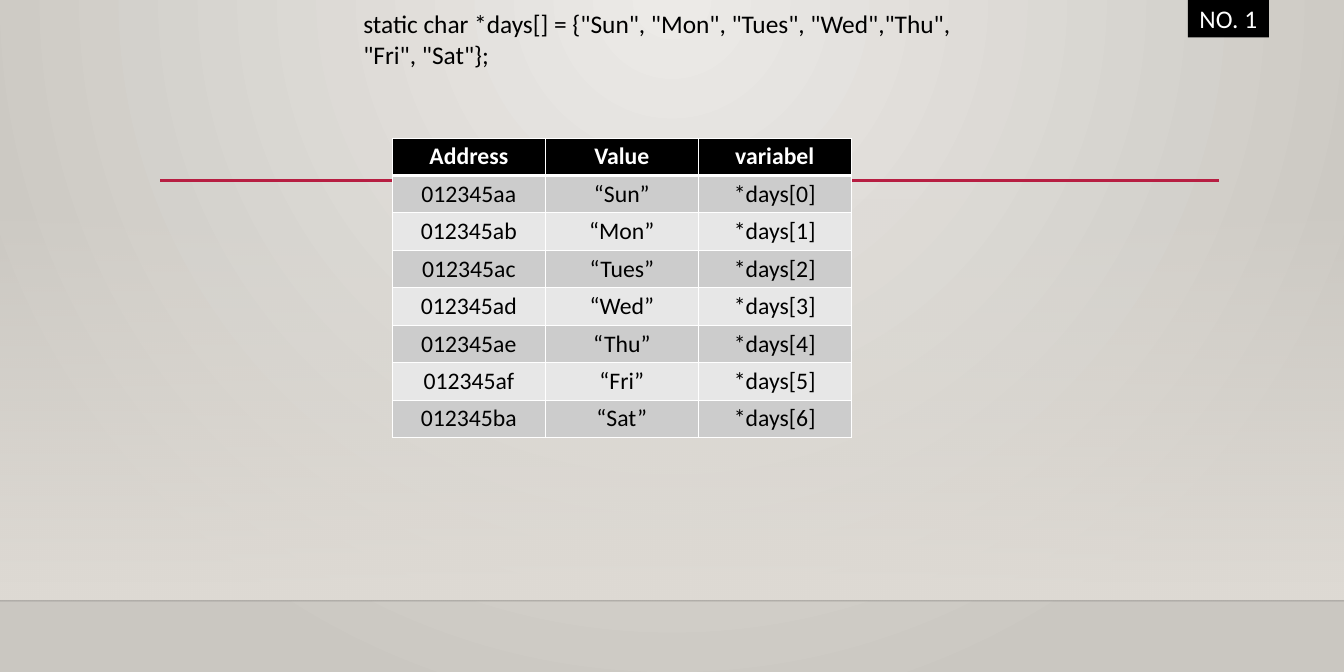
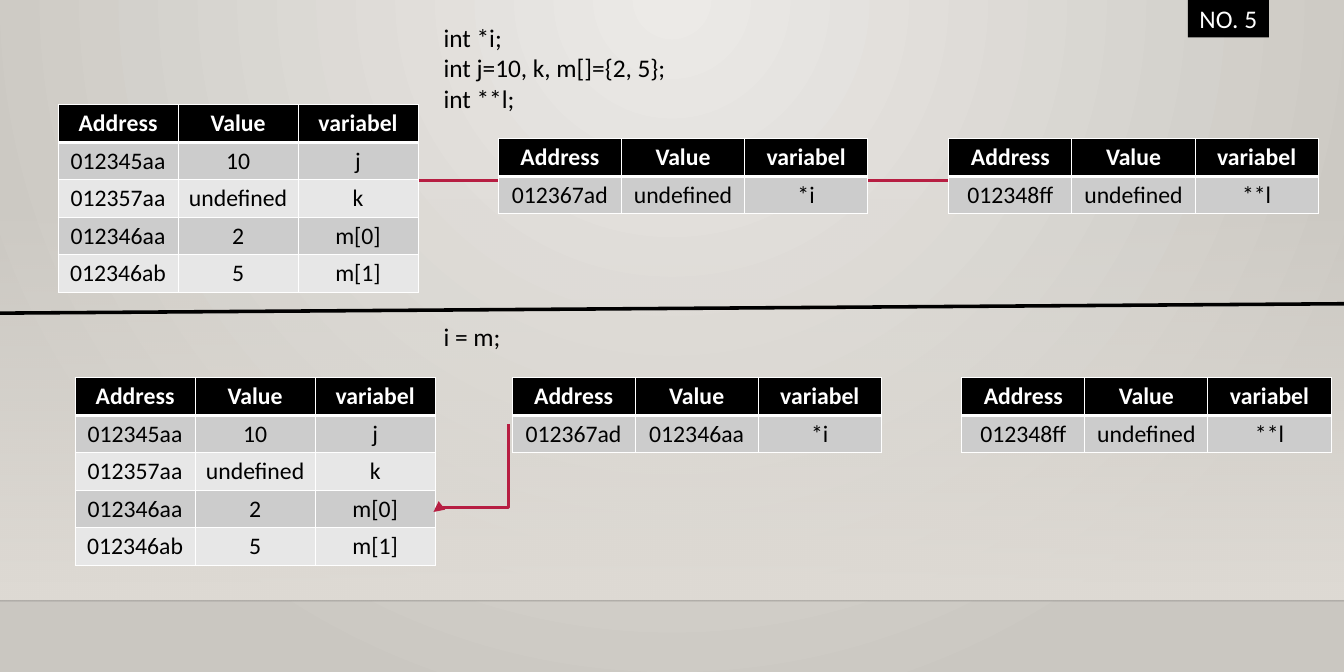
from dataclasses import dataclass

from lxml.etree import _Element
from pptx import Presentation
from pptx.dml.color import RGBColor
from pptx.dml.fill import FillFormat
from pptx.enum.shapes import MSO_CONNECTOR, MSO_SHAPE
from pptx.enum.text import MSO_ANCHOR, MSO_AUTO_SIZE, PP_ALIGN
from pptx.oxml import parse_xml
from pptx.oxml.ns import nsdecls, qn
from pptx.shapes.connector import Connector
from pptx.slide import Slide
from pptx.text.text import TextFrame
from pptx.util import Inches, Pt

# Shared look
WIDTH, HEIGHT = Inches(15.75), Inches(7.875)
FONT = "Calibri"
CODE_SIZE, CELL_SIZE = 21.4, 20
BLACK = RGBColor(0x00, 0x00, 0x00)
WHITE = RGBColor(0xFF, 0xFF, 0xFF)
CRIMSON = RGBColor(0xB7, 0x1E, 0x42)
PAPER = RGBColor(0xEC, 0xEA, 0xE7)
PAPER_EDGE = RGBColor(0xCA, 0xC7, 0xC1)
FLOOR = RGBColor(0xDF, 0xDB, 0xD5)
STRIPES = (RGBColor(0xCC, 0xCC, 0xCC), RGBColor(0xE7, 0xE7, 0xE7))

HEADINGS = ("Address", "Value", "variabel")
ROW = 5.57  # table row, percent of the slide height
WIDE, MEDIUM, NARROW = 11.38, 9.16, 8.93  # table columns, percent of the width


@dataclass(frozen=True)
class Box:
    """A frame in percent of the slide's width and height."""
    left: float
    top: float
    width: float
    height: float

    def emu(self) -> tuple[int, int, int, int]:
        return across(self.left), down(self.top), across(self.width), down(self.height)


@dataclass(frozen=True)
class CodeNote:
    box: Box
    lines: tuple[str, ...]


@dataclass(frozen=True)
class MemoryTable:
    left: float
    top: float
    column: float
    rows: tuple[tuple[str, str, str], ...]


def across(percent: float) -> int:
    return round(WIDTH * percent / 100)


def down(percent: float) -> int:
    return round(HEIGHT * percent / 100)


# Formatting helpers
def set_gradient(fill: FillFormat, parent: _Element,
                 stops: tuple[tuple[RGBColor, int], ...], direction: str) -> None:
    """Spread (colour, opacity in percent) stops evenly along a gradient."""
    fill.gradient()
    stop_xml = "".join(
        f'<a:gs pos="{100000 * i // (len(stops) - 1)}"><a:srgbClr val="{color}">'
        f'<a:alpha val="{opacity * 1000}"/></a:srgbClr></a:gs>'
        for i, (color, opacity) in enumerate(stops))
    default = parent.find(qn("a:gradFill"))
    parent.replace(default, parse_xml(
        f'<a:gradFill {nsdecls("a")} rotWithShape="1"><a:gsLst>{stop_xml}</a:gsLst>'
        f'{direction}</a:gradFill>'))


def write(frame: TextFrame, lines: tuple[str, ...], size: float, color: RGBColor,
          align: PP_ALIGN = PP_ALIGN.LEFT, bold: bool = False) -> None:
    frame.text = "\n".join(lines)
    for paragraph in frame.paragraphs:
        paragraph.alignment = align
        for run in paragraph.runs:
            run.font.name, run.font.size, run.font.bold = FONT, Pt(size), bold
            run.font.color.rgb = color


def add_line(slide: Slide, start: tuple[float, float], end: tuple[float, float],
             color: RGBColor, weight: float,
             kind: MSO_CONNECTOR = MSO_CONNECTOR.STRAIGHT) -> Connector:
    line = slide.shapes.add_connector(
        kind, across(start[0]), down(start[1]), across(end[0]), down(end[1]))
    line.line.color.rgb = color
    line.line.width = Pt(weight)
    line._element.spPr.append(parse_xml(f'<a:effectLst {nsdecls("a")}/>'))
    return line


# Slide parts
def add_backdrop(slide: Slide) -> None:
    floor = slide.shapes.add_shape(MSO_SHAPE.RECTANGLE, *Box(0, 29.46, 100, 59.85).emu())
    floor.shadow.inherit = False
    floor.line.fill.background()
    set_gradient(floor.fill, floor._element.spPr, ((FLOOR, 0), (FLOOR, 100)),
                 '<a:lin ang="5400000" scaled="0"/>')
    edge = add_line(slide, (0, 89.4), (100, 89.4), BLACK, 1)
    edge_color = edge._element.spPr.find(".//" + qn("a:srgbClr"))
    edge_color.append(parse_xml(f'<a:alpha {nsdecls("a")} val="20000"/>'))
    add_line(slide, (11.94, 26.92), (90.73, 26.92), CRIMSON, 2.5)


def add_badge(slide: Slide, number: int) -> None:
    badge = slide.shapes.add_shape(MSO_SHAPE.RECTANGLE, *Box(88.38, -0.25, 6.03, 5.84).emu())
    badge.shadow.inherit = False
    badge.fill.solid()
    badge.fill.fore_color.rgb = BLACK
    badge.line.fill.background()
    badge.text_frame.vertical_anchor = MSO_ANCHOR.MIDDLE
    write(badge.text_frame, (f"NO. {number}",), CODE_SIZE, WHITE, PP_ALIGN.CENTER)


def add_code(slide: Slide, note: CodeNote) -> None:
    frame = slide.shapes.add_textbox(*note.box.emu()).text_frame
    frame.word_wrap = True
    frame.auto_size = MSO_AUTO_SIZE.SHAPE_TO_FIT_TEXT
    write(frame, note.lines, CODE_SIZE, BLACK)


def add_memory(slide: Slide, memory: MemoryTable) -> None:
    lines = (HEADINGS, *memory.rows)
    box = Box(memory.left, memory.top, memory.column * len(HEADINGS), ROW * len(lines))
    table = slide.shapes.add_table(len(lines), len(HEADINGS), *box.emu()).table
    for column in table.columns:
        column.width = across(memory.column)
    for r, values in enumerate(lines):
        table.rows[r].height = down(ROW)
        heading = r == 0
        # The rule below the headings is three times as thick as the others
        weights = {"L": 1, "R": 1, "T": 3 if r == 1 else 1, "B": 3 if heading else 1}
        for c, value in enumerate(values):
            cell = table.cell(r, c)
            properties = cell._tc.get_or_add_tcPr()
            for side, weight in weights.items():
                properties.append(parse_xml(
                    f'<a:ln{side} {nsdecls("a")} w="{Pt(weight)}"><a:solidFill>'
                    f'<a:srgbClr val="{WHITE}"/></a:solidFill></a:ln{side}>'))
            cell.fill.solid()
            cell.fill.fore_color.rgb = BLACK if heading else STRIPES[(r - 1) % 2]
            write(cell.text_frame, (value,), CELL_SIZE, WHITE if heading else BLACK,
                  PP_ALIGN.CENTER, heading)


def add_pointer(slide: Slide, start: tuple[float, float], end: tuple[float, float]) -> None:
    """An elbow that leaves downwards: a quarter turn of a sideways elbow."""
    middle_x, middle_y = (start[0] + end[0]) / 2, (start[1] + end[1]) / 2
    half_w = (end[1] - start[1]) / 2 * HEIGHT / WIDTH
    half_h = (start[0] - end[0]) / 2 * WIDTH / HEIGHT
    pointer = add_line(slide, (middle_x - half_w, middle_y - half_h),
                       (middle_x + half_w, middle_y + half_h), CRIMSON, 3,
                       MSO_CONNECTOR.ELBOW)
    properties = pointer._element.spPr
    properties.find(qn("a:xfrm")).set("rot", "5400000")
    bend = properties.find(qn("a:prstGeom")).find(qn("a:avLst"))
    bend.append(parse_xml(f'<a:gd {nsdecls("a")} name="adj1" fmla="val 94700"/>'))
    properties.find(qn("a:ln")).append(
        parse_xml(f'<a:tailEnd {nsdecls("a")} type="triangle"/>'))


def add_exercise(presentation: Presentation, number: int, notes: tuple[CodeNote, ...],
                 memories: tuple[MemoryTable, ...]) -> Slide:
    slide = presentation.slides.add_slide(presentation.slide_layouts[6])
    add_backdrop(slide)
    add_badge(slide, number)
    for note in notes:
        add_code(slide, note)
    for memory in memories:
        add_memory(slide, memory)
    return slide


# Content
DAYS = ("Sun", "Mon", "Tues", "Wed", "Thu", "Fri", "Sat")
DAY_ADDRESSES = ("aa", "ab", "ac", "ad", "ae", "af", "ba")
DAY_ROWS = tuple((f"012345{address}", f"“{day}”", f"*days[{i}]")
                 for i, (address, day) in enumerate(zip(DAY_ADDRESSES, DAYS)))
DAY_CODE = CodeNote(Box(26.41, 0.63, 54.1, 10.4), (
    'static char *days[] = {"Sun", "Mon", "Tues", "Wed","Thu",',
    '"Fri", "Sat"};'))

VARIABLE_ROWS = (("012345aa", "10", "j"), ("012357aa", "undefined", "k"),
                 ("012346aa", "2", "m[0]"), ("012346ab", "5", "m[1]"))
DOUBLE_POINTER_ROWS = (("012348ff", "undefined", "**l"),)
POINTER_CODES = (
    CodeNote(Box(32.38, 2.67, 39.3, 15),
             ("int *i;", "int j=10, k, m[]={2, 5};", "int **l;")),
    CodeNote(Box(32.38, 47.11, 39.3, 5.84), ("i = m;",)))
BEFORE = (
    MemoryTable(4.32, 15.62, NARROW, VARIABLE_ROWS),
    MemoryTable(37.08, 20.64, MEDIUM, (("012367ad", "undefined", "*i"),)),
    MemoryTable(70.6, 20.64, MEDIUM, DOUBLE_POINTER_ROWS))
AFTER = (
    MemoryTable(5.59, 56.25, NARROW, VARIABLE_ROWS),
    MemoryTable(38.1, 56.25, MEDIUM, (("012367ad", "012346aa", "*i"),)),
    MemoryTable(71.56, 56.25, MEDIUM, DOUBLE_POINTER_ROWS))


def main() -> None:
    presentation = Presentation()
    presentation.slide_width, presentation.slide_height = WIDTH, HEIGHT

    # Background of every slide
    master = presentation.slide_master
    fill = master.background.fill
    set_gradient(fill, master._element.cSld.find(qn("p:bg")).find(qn("p:bgPr")),
                 ((PAPER, 100), (PAPER_EDGE, 100)),
                 '<a:path path="circle"><a:fillToRect l="43000" r="43000" b="100000"/></a:path>')

    # Array of strings
    add_exercise(presentation, 1, (DAY_CODE,), (MemoryTable(29.2, 20.55, WIDE, DAY_ROWS),))

    # Pointers before and after the assignment
    pointers = add_exercise(presentation, 5, POINTER_CODES, BEFORE + AFTER)
    add_line(pointers, (0, 46.6), (100, 45.2), BLACK, 3)
    add_pointer(pointers, (37.84, 63.11), (32.25, 76.19))

    presentation.save("out.pptx")


if __name__ == "__main__":
    main()
